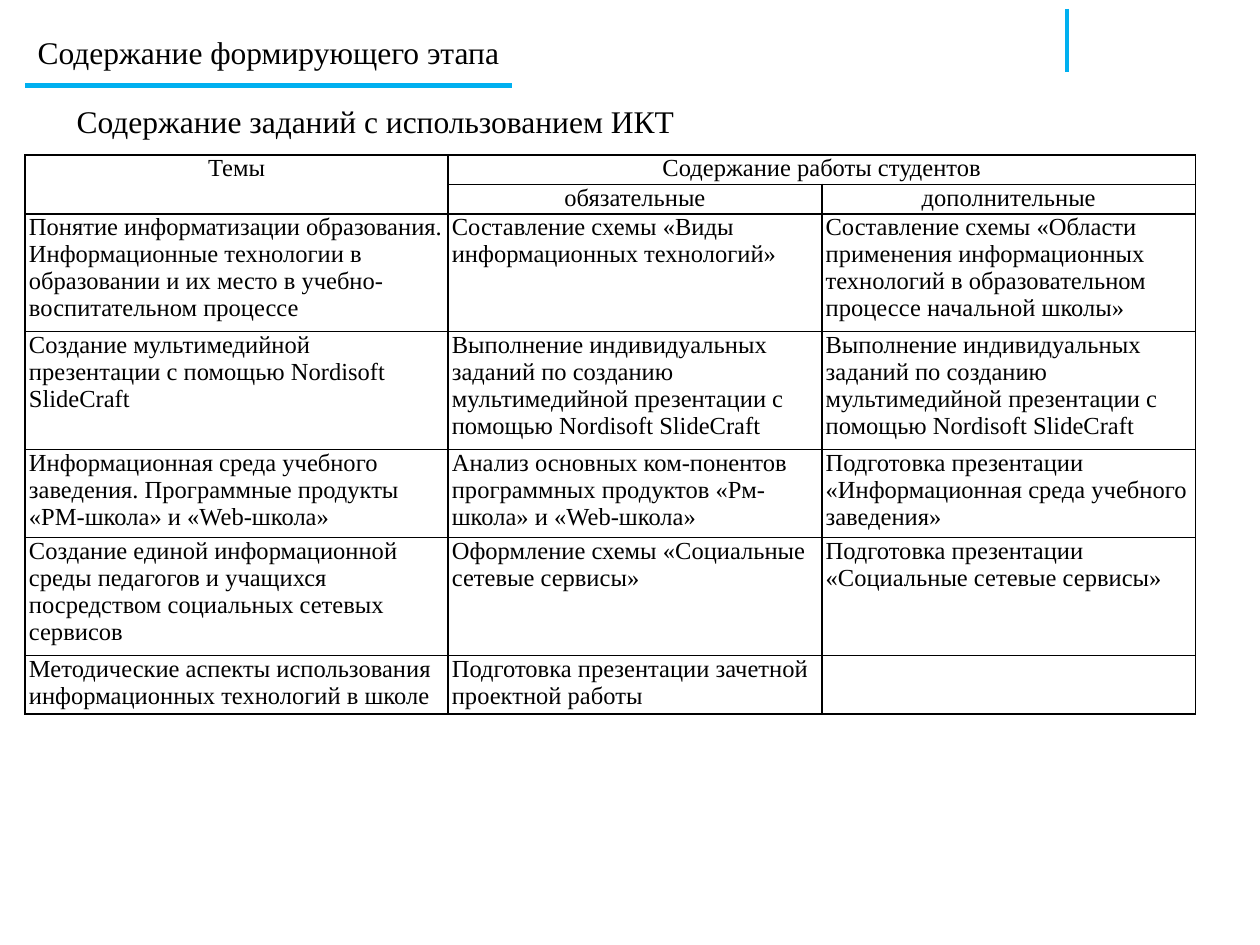
from lxml.etree import SubElement
from pptx import Presentation
from pptx.dml.color import RGBColor
from pptx.enum.shapes import MSO_CONNECTOR
from pptx.enum.text import MSO_AUTO_SIZE, PP_ALIGN
from pptx.oxml.ns import qn
from pptx.util import Inches, Pt

BLACK = RGBColor(0x00, 0x00, 0x00)
ACCENT = RGBColor(0x00, 0xB0, 0xF0)
FONT = "Times New Roman"

COLUMN_WIDTHS = [3.36, 2.97, 2.97]
ROW_LINES = [1, 1, 4, 4, 3, 4, 2]
HEADER_ROWS = 2
SLIDE_TASK = ("Выполнение индивидуальных заданий по созданию мультимедийной "
              "презентации с помощью Nordisoft SlideCraft")
ROWS = [
    ["Темы", "Содержание работы студентов", ""],
    ["", "обязательные", "дополнительные"],
    ["Понятие информатизации образования. Информационные технологии в "
     "образовании и их место в учебно-воспитательном процессе",
     "Составление схемы «Виды информационных технологий»",
     "Составление схемы «Области применения информационных технологий "
     "в образовательном процессе начальной школы»"],
    ["Создание мультимедийной презентации с помощью Nordisoft SlideCraft",
     SLIDE_TASK, SLIDE_TASK],
    ["Информационная среда учебного заведения. Программные продукты "
     "«РМ-школа» и «Web-школа»",
     "Анализ основных ком-понентов программных продуктов «Рм-школа» "
     "и «Web-школа»",
     "Подготовка презентации «Информационная среда учебного заведения»"],
    ["Создание единой информационной среды педагогов и учащихся "
     "посредством социальных сетевых сервисов",
     "Оформление схемы «Социальные сетевые сервисы»",
     "Подготовка презентации «Социальные сетевые сервисы»"],
    ["Методические аспекты использования информационных технологий в школе",
     "Подготовка презентации зачетной проектной работы", ""],
]


def format_text(frame, size, align=PP_ALIGN.LEFT):
    for para in frame.paragraphs:
        para.alignment = align
        for span in para.runs:
            span.font.name = FONT
            span.font.size = Pt(size)
            span.font.color.rgb = BLACK


def add_heading(page, left, top, text):
    box = page.shapes.add_textbox(Inches(left), Inches(top), Inches(6.62), Inches(0.4))
    frame = box.text_frame
    frame.word_wrap = True
    frame.auto_size = MSO_AUTO_SIZE.SHAPE_TO_FIT_TEXT
    frame.text = text
    format_text(frame, 18)


def add_rule(page, left, top, width, height, weight):
    rule = page.shapes.add_connector(
        MSO_CONNECTOR.STRAIGHT, Inches(left), Inches(top),
        Inches(left + width), Inches(top + height))
    rule.line.color.rgb = ACCENT
    rule.line.width = Pt(weight)
    SubElement(rule._element.spPr, qn("a:effectLst"))


def add_borders(cell):
    properties = cell._tc.get_or_add_tcPr()
    for side in ("lnL", "lnR", "lnT", "lnB"):
        border = SubElement(properties, qn("a:" + side), w=str(Pt(1)))
        fill = SubElement(border, qn("a:solidFill"))
        SubElement(fill, qn("a:srgbClr"), val=str(BLACK))


def format_cell(cell, text, is_header):
    add_borders(cell)
    cell.fill.background()
    cell.margin_left = cell.margin_right = Inches(0.03)
    cell.margin_top = cell.margin_bottom = 0
    if text:
        cell.text_frame.text = text
        format_text(cell.text_frame, 14, PP_ALIGN.CENTER if is_header else PP_ALIGN.LEFT)


def add_task_table(page, left, top, width, height):
    table = page.shapes.add_table(
        len(ROWS), len(COLUMN_WIDTHS), Inches(left), Inches(top),
        Inches(width), Inches(height)).table
    table.first_row = table.horz_banding = False
    for column, share in zip(table.columns, COLUMN_WIDTHS):
        column.width = Inches(width * share / sum(COLUMN_WIDTHS))
    for row, lines in zip(table.rows, ROW_LINES):
        row.height = Inches(height * lines / sum(ROW_LINES))
    for row_index, texts in enumerate(ROWS):
        for column_index, text in enumerate(texts):
            format_cell(table.cell(row_index, column_index), text, row_index < HEADER_ROWS)
    table.cell(0, 0).merge(table.cell(1, 0))
    table.cell(0, 1).merge(table.cell(0, 2))


def add_title_band(page, left, top):
    add_rule(page, left, top + 0.61, 3.86, 0, 3)
    add_rule(page, left + 8.27, top, 0, 0.5, 2.25)
    add_heading(page, left, top + 0.14, "Содержание формирующего этапа")


deck = Presentation()
deck.slide_width = Inches(10)
deck.slide_height = Inches(7.5)
page = deck.slides.add_slide(deck.slide_layouts[6])
add_title_band(page, 0.2, 0.07)
add_task_table(page, 0.2, 1.23, 9.29, 4.43)
add_heading(page, 0.51, 0.76, "Содержание заданий с использованием ИКТ")
deck.save("out.pptx")
